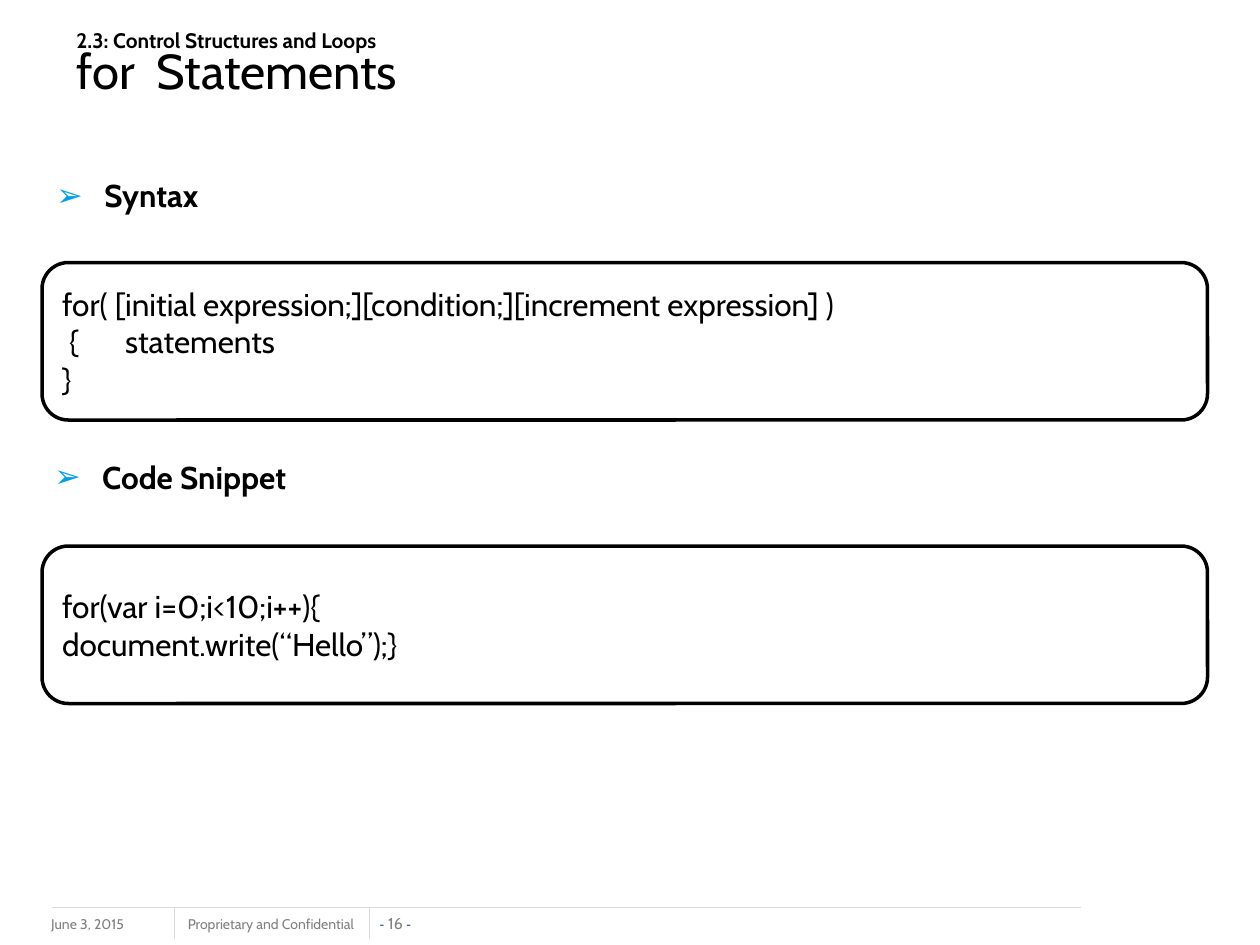
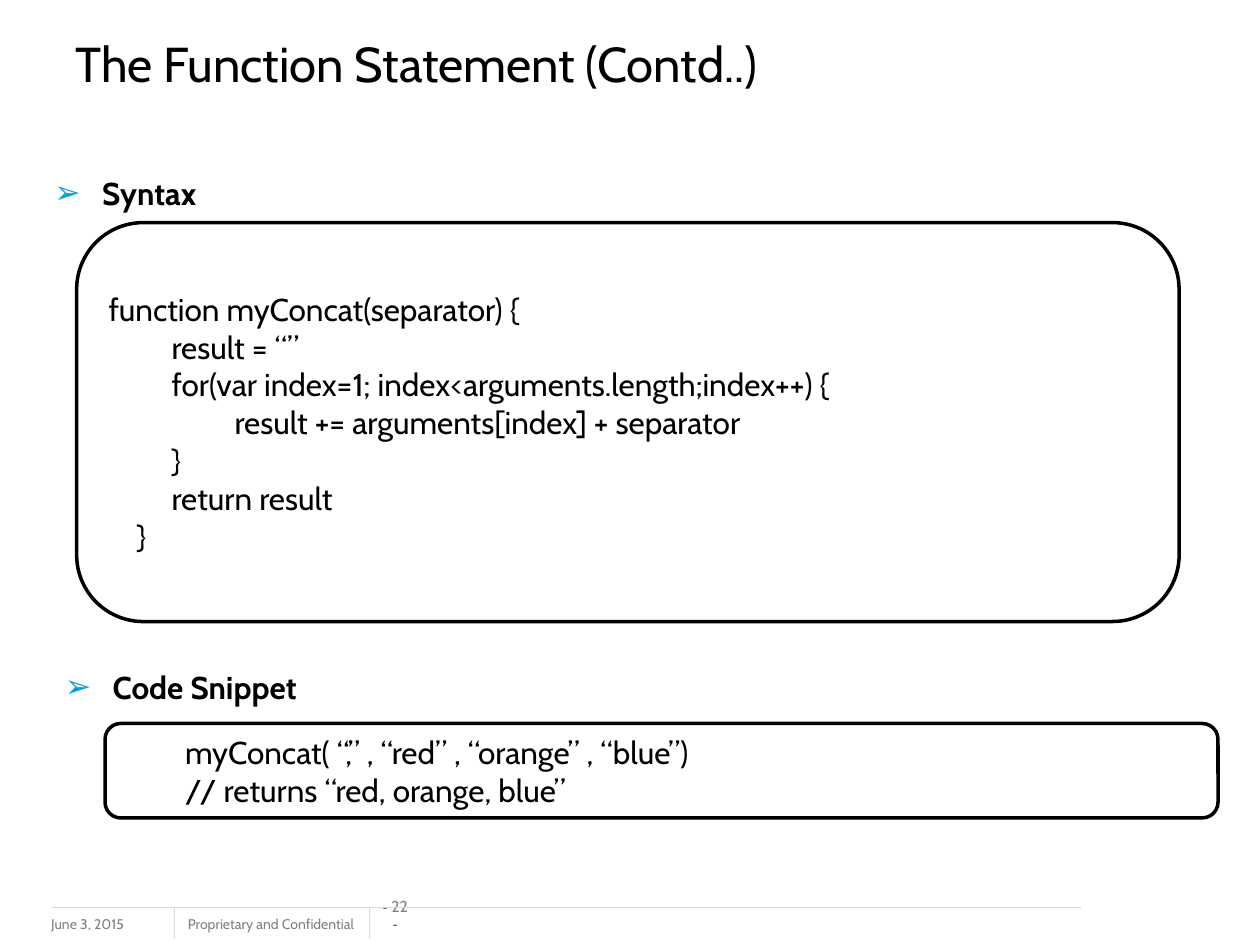
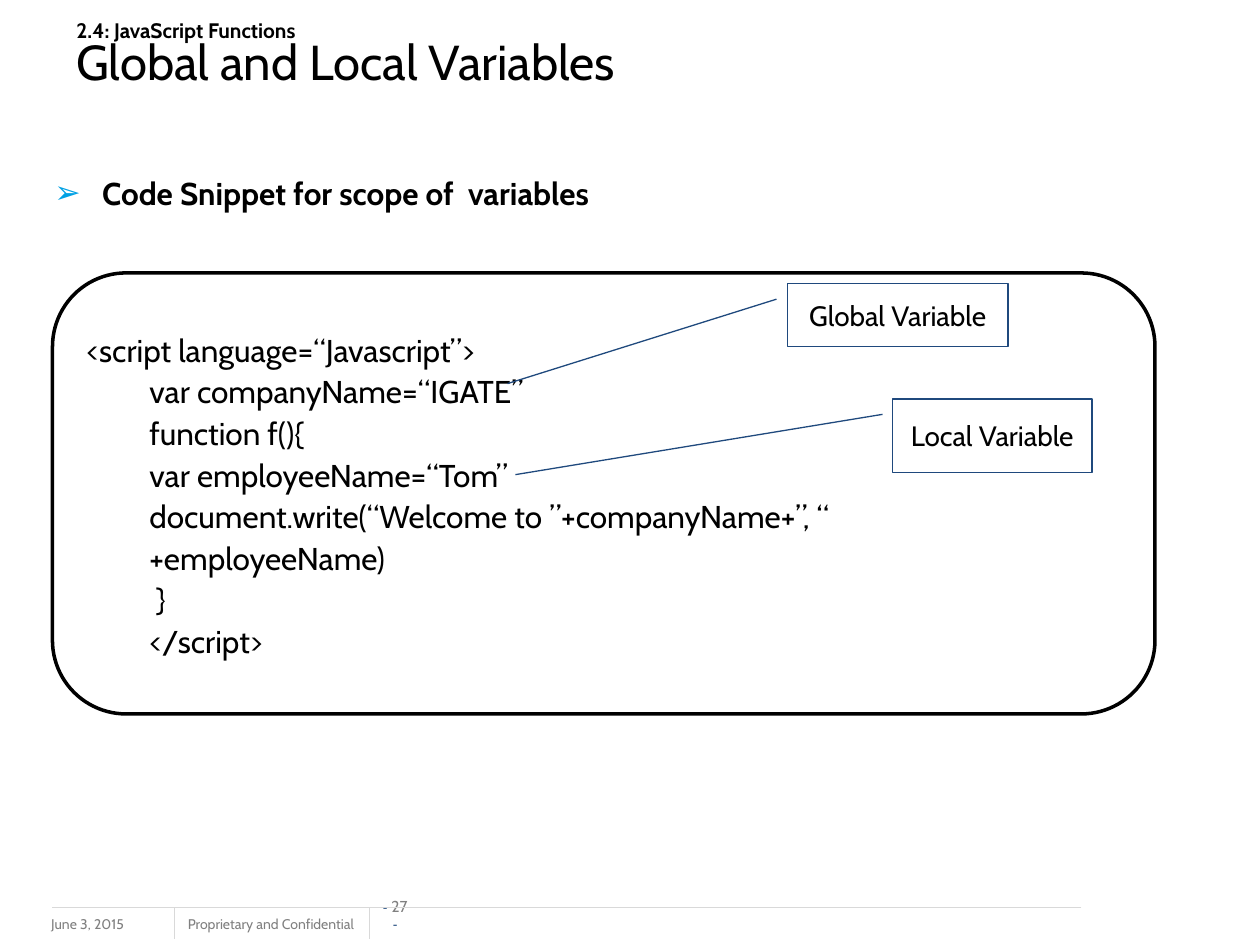
from lxml.etree import SubElement
from pptx import Presentation
from pptx.dml.color import RGBColor
from pptx.enum.shapes import MSO_CONNECTOR, MSO_SHAPE
from pptx.enum.text import MSO_ANCHOR, PP_ALIGN
from pptx.oxml.ns import qn
from pptx.util import Inches, Pt

BLACK = RGBColor(0x00, 0x00, 0x00)
WHITE = RGBColor(0xFF, 0xFF, 0xFF)
GREY = RGBColor(0x80, 0x80, 0x80)
RULE = RGBColor(0xD9, 0xD9, 0xD9)
NAVY = RGBColor(0x1F, 0x49, 0x7D)
CYAN = "00A1E4"
FONT = "Cabin"

# The slide is a grid of 120 columns by 90 rows
WIDTH, HEIGHT = Inches(10), Inches(7.5)
COLS, ROWS = 120, 90


def grid(*cells):
    """Turn alternating column and row counts into lengths."""
    sizes = (WIDTH / COLS, HEIGHT / ROWS)
    return [round(cell * sizes[i % 2]) for i, cell in enumerate(cells)]


def add_run(para, text, size, color=BLACK, bold=False, font=FONT):
    run = para.add_run()
    run.text = text
    run.font.name = font
    run.font.size = Pt(size)
    run.font.bold = bold
    run.font.color.rgb = color


def add_box(slide, cells, anchor=MSO_ANCHOR.TOP):
    frame = slide.shapes.add_textbox(*grid(*cells)).text_frame
    frame.word_wrap = True
    frame.vertical_anchor = anchor
    return frame


def add_shape(slide, kind, cells, adjust, color, width, fill=None):
    shape = slide.shapes.add_shape(kind, *grid(*cells))
    shape.shadow.inherit = False
    for i, value in enumerate(adjust):
        shape.adjustments[i] = value
    if fill is None:
        shape.fill.background()
    else:
        shape.fill.solid()
        shape.fill.fore_color.rgb = fill
    shape.line.color.rgb = color
    shape.line.width = Pt(width)
    frame = shape.text_frame
    frame.word_wrap = True
    frame.vertical_anchor = MSO_ANCHOR.MIDDLE
    return frame


def add_line(slide, *ends):
    line = slide.shapes.add_connector(MSO_CONNECTOR.STRAIGHT, *grid(*ends))
    line.line.color.rgb = RULE
    line.line.width = Pt(0.75)
    SubElement(line._element.spPr, qn("a:effectLst"))


def add_foot(slide, number):
    for left, width, text in ((3.7, 16, "June 3, 2015"),
                              (16.7, 18.8, "Proprietary and Confidential")):
        frame = add_box(slide, (left, 86.6, width, 3))
        add_run(frame.paragraphs[0], text, 8, GREY)
    # Page number
    frame = add_box(slide, (36.1, 87, 3.1, 1.8), MSO_ANCHOR.BOTTOM)
    frame.margin_left = frame.margin_right = 0
    frame.margin_top = frame.margin_bottom = 0
    para = frame.paragraphs[0]
    para.alignment = PP_ALIGN.CENTER
    add_run(para, "- ", 8, NAVY, font="Arial")
    add_run(para, f"{number} ", 9, GREY)
    add_run(para, "-", 8, NAVY, font="Arial")
    # Rules
    add_line(slide, 103, 86.4, 5, 86.4)
    for col in (16.6, 35.2):
        add_line(slide, col, 86.4, col, 89.4)


def add_title(slide, left, top, title, topic=None):
    para = add_box(slide, (left, top, 107, 9.3), MSO_ANCHOR.MIDDLE).paragraphs[0]
    para.line_spacing = 0.8
    if topic:
        add_run(para, topic, 12, bold=True)
        para.add_line_break()
        SubElement(para._p[-1], qn("a:rPr"), sz="1200", b="1")
    add_run(para, title, 28)


def add_head(slide, left, top, text):
    """Bold heading with an arrow bullet."""
    para = add_box(slide, (left, top, 108, 5)).paragraphs[0]
    props = para._p.get_or_add_pPr()
    props.set("marL", str(Inches(0.38)))
    props.set("indent", str(-Inches(0.38)))
    SubElement(SubElement(props, qn("a:buClr")), qn("a:srgbClr"), val=CYAN)
    SubElement(props, qn("a:buFont"), typeface="Arial")
    SubElement(props, qn("a:buChar"), char="➢")
    add_run(para, text, 18, bold=True)


def add_code(slide, cells, lines, indents=(0, 0), space=None):
    """Rounded frame; indents are those of the first and the later lines."""
    frame = add_shape(slide, MSO_SHAPE.ROUNDED_RECTANGLE, cells, [0.167],
                      BLACK, 2, WHITE)
    for i, text in enumerate(lines):
        para = frame.add_paragraph() if i else frame.paragraphs[0]
        props = para._p.get_or_add_pPr()
        props.set("marL", str(Inches(indents[min(i, 1)])))
        props.set("indent", "0")
        tabs = SubElement(props, qn("a:tabLst"))
        for stop in (1, 2):
            SubElement(tabs, qn("a:tab"), pos=str(Inches(stop)), algn="l")
        para.alignment = PP_ALIGN.LEFT
        if space:
            para.line_spacing = space
        add_run(para, text, 18)


def add_note(slide, cells, adjust, text):
    frame = add_shape(slide, MSO_SHAPE.LINE_CALLOUT_1, cells, adjust, NAVY, 0.75)
    para = frame.paragraphs[0]
    para.alignment = PP_ALIGN.CENTER
    add_run(para, text, 16)


def new_slide(deck, number):
    slide = deck.slides.add_slide(deck.slide_layouts[6])
    add_foot(slide, number)
    return slide


def main():
    deck = Presentation()
    deck.slide_width, deck.slide_height = WIDTH, HEIGHT

    # For statements
    slide = new_slide(deck, 16)
    add_title(slide, 6.1, 1.6, "for  Statements",
              "2.3: Control Structures and Loops")
    add_head(slide, 4.2, 16.2, "Syntax")
    add_code(slide, (4, 25, 111, 15), [
        "for( [initial expression;][condition;][increment expression] )",
        " {\tstatements",
        "}"])
    add_head(slide, 4, 43, "Code Snippet")
    add_code(slide, (4, 52, 111, 15), [
        "for(var i=0;i<10;i++){",
        "document.write(“Hello”);}"])

    # Function statement
    slide = new_slide(deck, 22)
    add_title(slide, 6, 1.9, "The Function Statement (Contd..)")
    add_head(slide, 4, 16, "Syntax")
    add_code(slide, (7.3, 21.2, 105, 38), [
        "function myConcat(separator) {",
        "\tresult = “”",
        "\tfor(var index=1; index<arguments.length;index++) {",
        "\t\tresult += arguments[index] + separator",
        "\t}",
        "\treturn result",
        "    }"])
    add_head(slide, 5, 63, "Code Snippet")
    add_code(slide, (10, 68.9, 106, 9), [
        "myConcat( “,” , “red” , “orange” , “blue”)",
        "// returns “red, orange, blue”"], (0.5, 0.5))

    # Variable scope
    slide = new_slide(deck, 27)
    add_title(slide, 6.1, 0.7, "Global and Local Variables",
              "2.4: JavaScript Functions")
    add_head(slide, 4, 16, "Code Snippet for scope of  variables")
    add_code(slide, (5, 26, 105, 42), [
        "<script language=“Javascript”>",
        "var companyName=“IGATE”",
        "function f(){",
        "var employeeName=“Tom”",
        "document.write(“Welcome to ”+companyName+”, “",
        "+employeeName)",
        " }",
        "</script>"], (0, 0.5), 1.1)
    add_note(slide, (75, 27, 21, 6), (0.25, -0.05, 1.59, -1.27),
             "Global Variable")
    add_note(slide, (85, 38, 19, 7), (0.21, -0.05, 1.03, -1.89),
             "Local Variable")

    deck.save("out.pptx")


if __name__ == "__main__":
    main()
